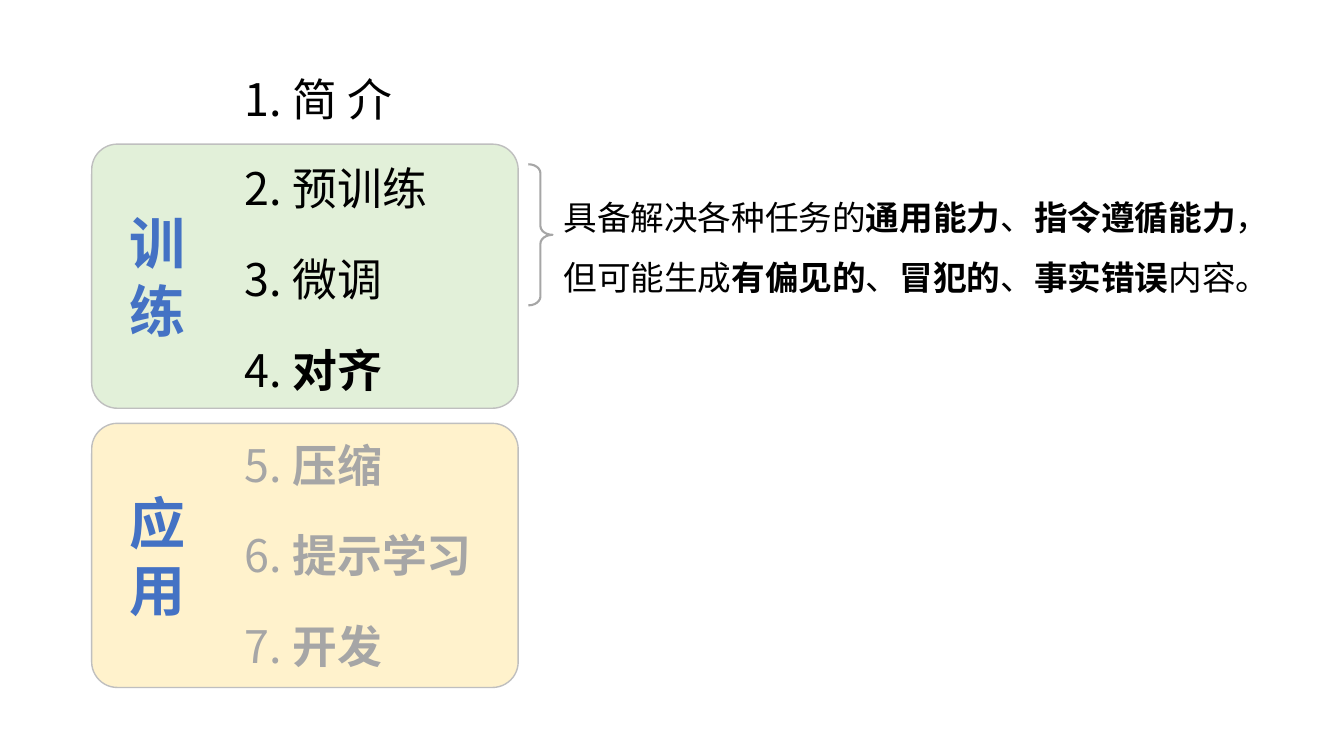
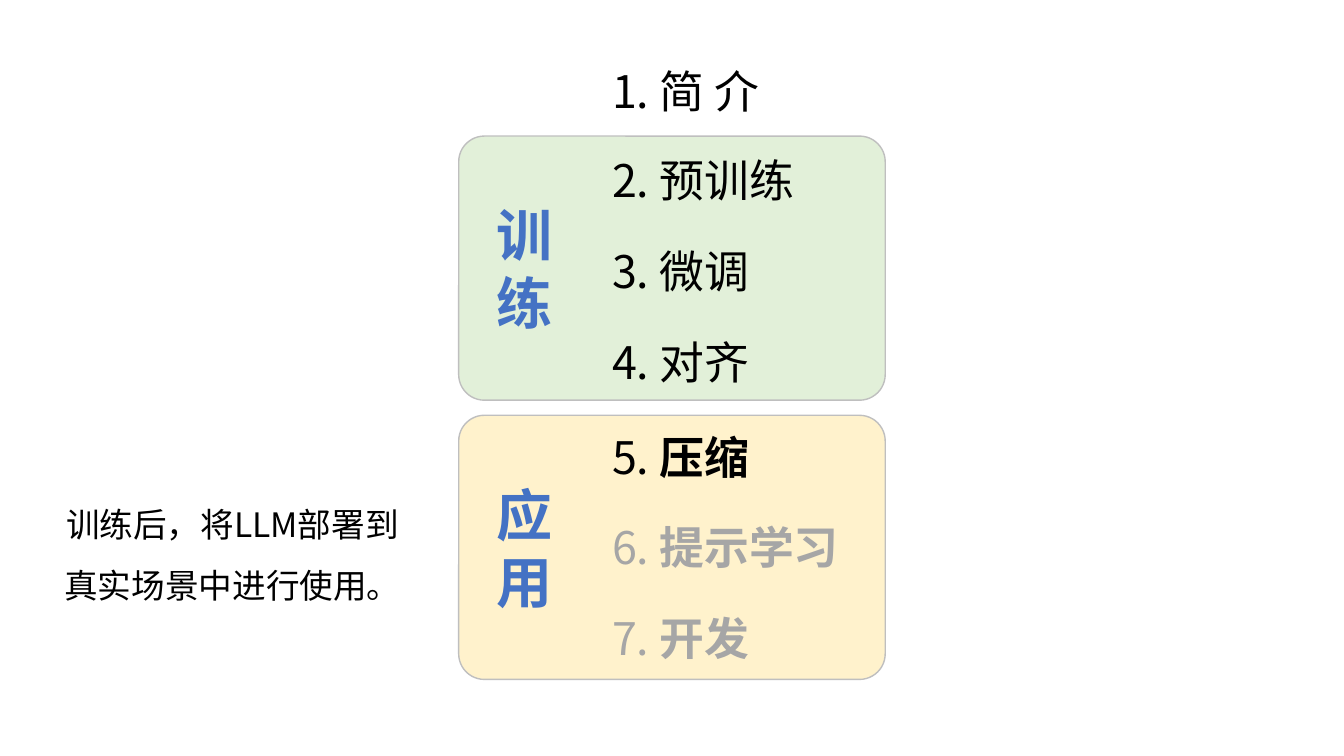
from dataclasses import dataclass

from lxml.etree import SubElement
from pptx import Presentation
from pptx.dml.color import RGBColor
from pptx.enum.shapes import MSO_SHAPE as Shape
from pptx.enum.text import MSO_ANCHOR as Anchor, MSO_AUTO_SIZE as Fit, PP_ALIGN as Align
from pptx.oxml.ns import qn
from pptx.util import Inches, Pt


@dataclass(frozen=True)
class Theme:
    font: str = "Noto Sans CJK SC"
    ink: str = "000000"
    muted: str = "A6A6A6"
    accent: str = "4472C4"
    border: str = "BFBFBF"
    green: str = "E2F0D9"
    cream: str = "FFF2CC"
    label: int = 40
    item: int = 32
    note: int = 24


THEME = Theme()
# label, fill, panel offset, first row offset in the panel, items
PARTS = [
    ("训练", THEME.green, 0.77, 0.12, ["预训练", "微调", "对齐"]),
    ("应用", THEME.cream, 3.54, 0.09, ["压缩", "提示学习", "开发"]),
]
PANEL_W, PANEL_H = 4.23, 2.62
ITEM_X, ITEM_W, ITEM_H = 1.32, 2.91, 0.64
ROW_STEP = 0.9


def color(code):
    return RGBColor.from_string(code)


def box(left, top, width, height):
    return [Inches(n) for n in (left, top, width, height)]


def add_run(para, text, size, tint, bold=False):
    run = para.add_run()
    run.text = text
    font = run.font
    font.name, font.size, font.bold = THEME.font, Pt(size), bold
    font.color.rgb = color(tint)
    # CJK text takes its typeface from a:ea
    SubElement(run._r.get_or_add_rPr(), qn("a:ea"), typeface=THEME.font)


def add_text(shapes, place):
    frame = shapes.add_textbox(*box(*place)).text_frame
    frame.word_wrap = True
    frame.auto_size = Fit.SHAPE_TO_FIT_TEXT
    return frame


def add_item(shapes, left, top, number, name, current):
    """Items after the current one are muted; from the current one on, names are bold."""
    frame = add_text(shapes, (left, top, ITEM_W, ITEM_H))
    frame.margin_left = Inches(0.2)
    tint = THEME.muted if number > current else THEME.ink
    para = frame.paragraphs[0]
    add_run(para, f"{number}. ", THEME.item, tint)
    add_run(para, name, THEME.item, tint, number >= current)


def add_panel(shapes, left, top, label, fill):
    """Rounded panel with its label set one character a line."""
    panel = shapes.add_shape(Shape.ROUNDED_RECTANGLE, *box(left, top, PANEL_W, PANEL_H))
    panel.adjustments[0] = 0.097
    panel.shadow.inherit = False
    panel.fill.solid()
    panel.fill.fore_color.rgb = color(fill)
    panel.line.color.rgb = color(THEME.border)
    panel.line.width = Pt(1)
    frame = panel.text_frame
    frame.margin_left = Inches(0.3)
    frame.vertical_anchor = Anchor.MIDDLE
    for i, char in enumerate(label):
        para = frame.add_paragraph() if i else frame.paragraphs[0]
        para.alignment = Align.LEFT
        add_run(para, char, THEME.label, THEME.accent, True)


def add_agenda(slide, left, top, current):
    shapes = slide.shapes.add_group_shape().shapes
    for label, fill, drop, _, _ in PARTS:
        add_panel(shapes, left, top + drop, label, fill)
    rows = [(0, "简 介")]
    for _, _, drop, pad, names in PARTS:
        rows += [(drop + pad + i * ROW_STEP, name) for i, name in enumerate(names)]
    for number, (drop, name) in enumerate(rows, 1):
        add_item(shapes, left + ITEM_X, top + drop, number, name, current)


def add_note(slide, place, lines, align=Align.LEFT):
    """Each line is a list of pieces, plain and bold by turns."""
    frame = add_text(slide.shapes, place)
    for i, line in enumerate(lines):
        para = frame.add_paragraph() if i else frame.paragraphs[0]
        para.alignment = align
        para.line_spacing = 1.5
        for j, piece in enumerate(line):
            add_run(para, piece, THEME.note, THEME.ink, j % 2 == 1)


def add_brace(slide, place):
    brace = slide.shapes.add_shape(Shape.RIGHT_BRACE, *box(*place))
    brace.adjustments[0] = 0.367
    brace.shadow.inherit = False
    brace.fill.background()
    brace.line.color.rgb = color(THEME.muted)
    brace.line.width = Pt(1.5)


def main():
    deck = Presentation()
    deck.slide_width, deck.slide_height = Inches(13.33), Inches(7.5)
    blank = deck.slide_layouts[6]

    align = deck.slides.add_slide(blank)
    add_agenda(align, 0.91, 0.66, current=4)
    add_note(align, (5.49, 1.7, 7.28, 1.25), [
        ["具备解决各种任务的", "通用能力", "、", "指令遵循能力", "，"],
        ["但可能生成", "有偏见的", "、", "冒犯的", "、", "事实错误", "内容。"],
    ])
    add_brace(align, (5.24, 1.63, 0.24, 1.4))

    deploy = deck.slides.add_slide(blank)
    add_agenda(deploy, 4.55, 0.58, current=5)
    add_note(deploy, (0.53, 4.75, 3.55, 1.25),
             [["训练后，将LLM部署到真实场景中进行使用。"]], Align.CENTER)

    deck.save("out.pptx")


if __name__ == "__main__":
    main()
